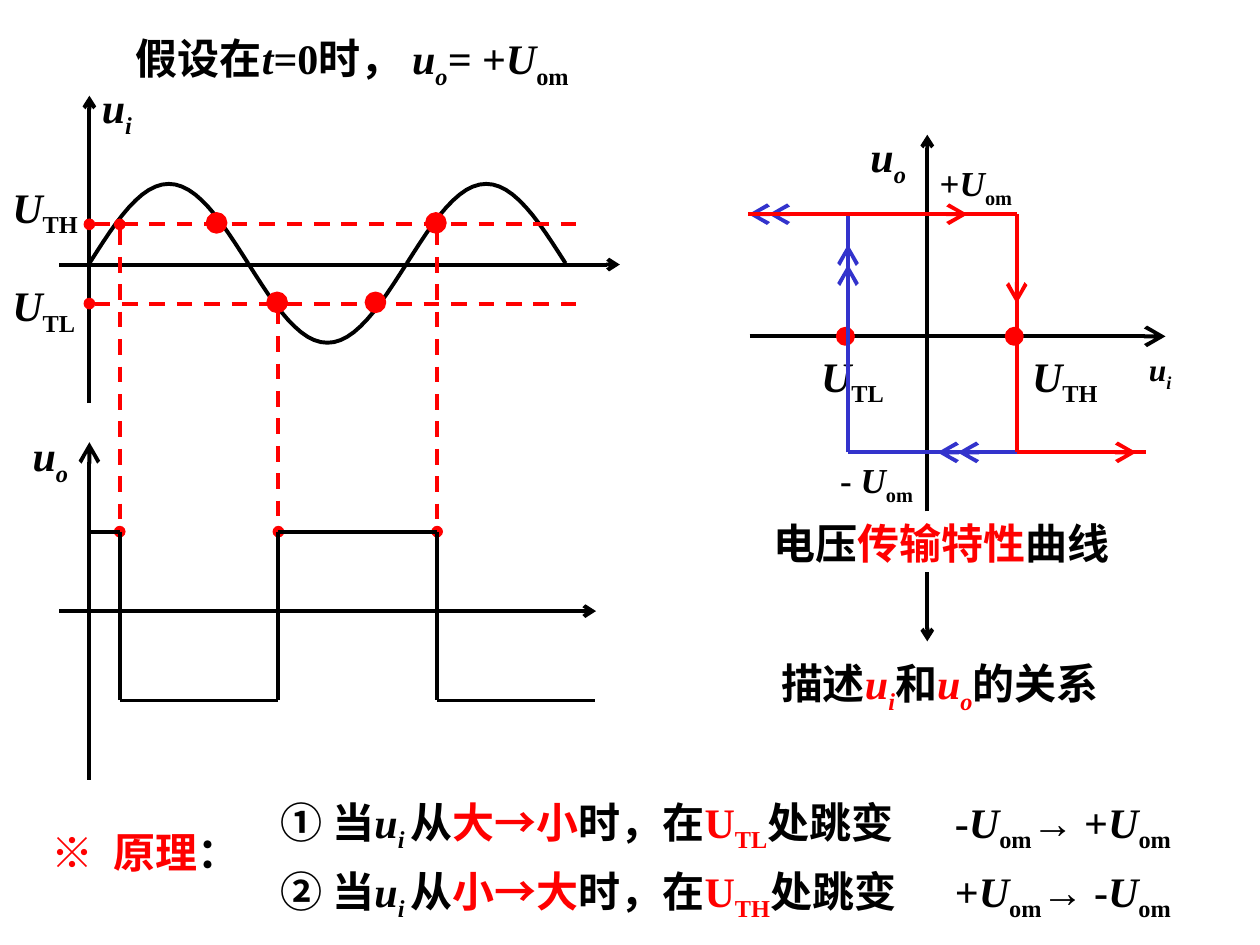
from itertools import pairwise
from math import pi, sin

from lxml import etree
from pptx import Presentation
from pptx.dml.color import RGBColor
from pptx.enum import dml, shapes
from pptx.oxml.ns import qn
from pptx.util import Pt

BLACK = RGBColor(0x00, 0x00, 0x00)
RED = RGBColor(0xFF, 0x00, 0x00)
BLUE = RGBColor(0x33, 0x33, 0xCC)
LATIN, CHINESE = "Times New Roman", "Noto Sans CJK SC"
STROKE = 2.25

AXIS_X, INPUT_Y = 51.1, 151.2
HALF_WAVE, AMPLITUDE, WAVE_Y = 90.7, 45.4, 150.5
UPPER_Y, LOWER_Y = 128.2, 173.5
HIGH_Y, STEP_LOW_Y = 303.8, 400.3
JUMPS = [(68.4, UPPER_Y), (159.1, LOWER_Y), (249.8, UPPER_Y)]
FALL_1, RISE, FALL_2 = [x for x, _ in JUMPS]

LOOP_LEFT, LOOP_RIGHT = 484.6, 581
LOOP_TOP, LOOP_BOTTOM = 122.4, 258.5
FAR_LEFT, FAR_RIGHT = 427.7, 654.8
TRANSFER_X, TRANSFER_Y = 529.9, 192.2

AXES = [
    ((33.8, INPUT_Y), (354.2, INPUT_Y), "med"),
    ((AXIS_X, 230.4), (AXIS_X, 54.7), "med"),
    ((33.8, 349.2), (340.6, 349.2), "med"),
    ((AXIS_X, 445.7), (AXIS_X, 252.7), "lg"),
    ((428.4, TRANSFER_Y), (666, TRANSFER_Y), "lg"),
    ((TRANSFER_X, 292.3), (TRANSFER_X, 77), "med"),
    ((TRANSFER_X, 326.9), (TRANSFER_X, 366.5), "med"),
]
OUTPUT_STEPS = [
    (AXIS_X, HIGH_Y), (FALL_1, HIGH_Y), (FALL_1, STEP_LOW_Y),
    (124.6, STEP_LOW_Y), (RISE, STEP_LOW_Y), (RISE, HIGH_Y),
    (215.3, HIGH_Y), (FALL_2, HIGH_Y), (FALL_2, STEP_LOW_Y),
    (339.8, STEP_LOW_Y),
]
CROSSINGS = [(123.8, 127.4), (158.4, 172.8), (214.6, 172.8), (249.1, 127.4)]
THRESHOLDS = [(579.6, TRANSFER_Y), (483.1, TRANSFER_Y)]
LOOPS = [
    (BLUE,
     [(FAR_RIGHT, LOOP_BOTTOM), (LOOP_LEFT, LOOP_BOTTOM),
      (LOOP_LEFT, LOOP_TOP), (FAR_LEFT, LOOP_TOP)],
     [((LOOP_RIGHT, LOOP_BOTTOM), (535.7, LOOP_BOTTOM)),
      ((569.5, LOOP_BOTTOM), (547.2, LOOP_BOTTOM)),
      ((LOOP_LEFT, 185), (LOOP_LEFT, 139.7)),
      ((LOOP_LEFT, 173.5), (LOOP_LEFT, 151.2)),
      ((473, LOOP_TOP), (FAR_LEFT, LOOP_TOP)),
      ((462.2, LOOP_TOP), (439.2, LOOP_TOP))]),
    (RED,
     [(FAR_LEFT, LOOP_TOP), (LOOP_RIGHT, LOOP_TOP),
      (LOOP_RIGHT, LOOP_BOTTOM), (FAR_RIGHT, LOOP_BOTTOM)],
     [((501.8, LOOP_TOP), (553, LOOP_TOP)),
      ((LOOP_RIGHT, UPPER_Y), (LOOP_RIGHT, LOWER_Y)),
      ((609.8, LOOP_BOTTOM), (649.4, LOOP_BOTTOM))]),
]

# Run styles: i italic, s subscript, r red, c Chinese font.
INPUT = [("u", "i"), ("i", "is")]
OUTPUT = [("u", "i"), ("o", "is")]
HIGH = [("U", "i"), ("TH", "s")]
LOW = [("U", "i"), ("TL", "s")]
LEVEL = [("U", "i"), ("om", "s")]


def red(runs):
    return [(words, style + "r") for words, style in runs]


def rule(number, change, threshold):
    return [(number + " 当", "c"), ("u", "i"), ("i ", "is"), ("从", "c"),
            (change, "cr"), ("时，在", "c"), ("U", "r"), (threshold, "rs"),
            ("处跳变", "c")]


LABELS = [
    ((51.1, 43.2, 85, 40.3), 24, INPUT),
    ((0, 156.2, 85, 40.3), 24, LOW),
    ((0, 100.1, 85, 40.3), 24, HIGH),
    ((11.5, 241.9, 68.4, 40.3), 24, OUTPUT),
    ((70.6, 15.1, 283.7, 40.3), 24,
     [("假设在", "c"), ("t", "i"), ("=0", ""), ("时， ", "c"), *OUTPUT,
      ("= ", "i"), ("+", ""), *LEVEL]),
    ((153.4, 451.4, 399.6, 40.3), 24, rule("①", "大→小", "TL")),
    ((153.4, 491, 399.6, 40.3), 24, rule("②", "小→大", "TH")),
    ((538.6, 451.4, 181.4, 40.3), 24, [("-", ""), *LEVEL, ("→ +", ""), *LEVEL]),
    ((538.6, 491, 181.4, 40.3), 24, [("+", ""), *LEVEL, ("→ -", ""), *LEVEL]),
    ((22.3, 468.7, 130, 36), 24, [("※\t", "cr"), ("原理", "cr"), ("：", "c")]),
    ((649.4, 196.6, 45.4, 31.7), 18, INPUT),
    ((490.3, 71.3, 68.4, 40.3), 24, OUTPUT),
    ((434.9, 292.3, 265.7, 36), 24,
     [("电压", "c"), ("传输特性", "cr"), ("曲线", "c")]),
    ((582.7, 196.6, 55.2, 40.3), 24, HIGH),
    ((462.2, 196.6, 79.2, 40.3), 24, LOW),
    ((439.2, 372.2, 226.8, 40.3), 24,
     [("描述", "c"), *red(INPUT), ("和", "c"), *red(OUTPUT), ("的关系", "c")]),
    ((473, 258.5, 85, 34.6), 20, [("- ", ""), *LEVEL]),
    ((529.9, 88.6, 85, 34.6), 20, [("+", ""), *LEVEL]),
]
TAB_STOP = 35.5

presentation = Presentation()
presentation.slide_width, presentation.slide_height = Pt(720), Pt(540)
slide = presentation.slides.add_slide(presentation.slide_layouts[6])


def add_line(start, end, color=BLACK, head=None, tail=None, size="med", dashed=False):
    connector = slide.shapes.add_connector(
        shapes.MSO_CONNECTOR.STRAIGHT, *map(Pt, start + end))
    connector.line.color.rgb = color
    connector.line.width = Pt(STROKE)
    if dashed:
        connector.line.dash_style = dml.MSO_LINE.DASH
    properties = connector.element.spPr
    outline = properties.find(qn("a:ln"))
    for name, kind in (("a:headEnd", head), ("a:tailEnd", tail)):
        if kind:
            etree.SubElement(outline, qn(name), type=kind, w=size, len=size)
    etree.SubElement(properties, qn("a:effectLst"))


def add_half_wave(index, steps=24):
    points = [(Pt(AXIS_X + HALF_WAVE * (index + step / steps)),
               Pt(WAVE_Y - AMPLITUDE * sin(pi * (index + step / steps))))
              for step in range(steps + 1)]
    builder = slide.shapes.build_freeform(*points[0])
    builder.add_line_segments(points[1:], close=False)
    shape = builder.convert_to_shape()
    shape.shadow.inherit = False
    shape.fill.background()
    shape.line.color.rgb = BLACK
    shape.line.width = Pt(STROKE)


def add_dot(center, size):
    x, y = center
    shape = slide.shapes.add_shape(
        shapes.MSO_SHAPE.OVAL, Pt(x - size / 2), Pt(y - size / 2), Pt(size), Pt(size))
    shape.shadow.inherit = False
    shape.fill.solid()
    shape.fill.fore_color.rgb = RED
    shape.line.color.rgb = RED
    shape.line.width = Pt(STROKE)


def add_label(box, size, runs):
    frame = slide.shapes.add_textbox(*map(Pt, box)).text_frame
    frame.word_wrap = True
    paragraph = frame.paragraphs[0]
    if any("\t" in words for words, _ in runs):
        tabs = etree.SubElement(paragraph._p.get_or_add_pPr(), qn("a:tabLst"))
        etree.SubElement(tabs, qn("a:tab"), pos=str(Pt(TAB_STOP)), algn="l")
    paragraph.font.size = Pt(size)
    paragraph.font.bold = True
    for words, style in runs:
        run = paragraph.add_run()
        run.text = words
        run.font.name = CHINESE if "c" in style else LATIN
        run.font.italic = "i" in style
        run.font.color.rgb = RED if "r" in style else BLACK
        properties = run.font._element if hasattr(run.font, "_element") else run._r.get_or_add_rPr()
        etree.SubElement(properties, qn("a:ea"), typeface=CHINESE)
        if "s" in style:
            properties.set("baseline", "-25000")


for start, end, size in AXES:
    add_line(start, end, tail="arrow", size=size)
for index in range(3):
    add_half_wave(index)
for y in (UPPER_Y, LOWER_Y):
    add_line((AXIS_X, y), (329, y), RED, head="oval", dashed=True)
for x, y in JUMPS:
    add_line((x, y), (x, HIGH_Y), RED, head="oval", tail="oval", dashed=True)
for start, end in pairwise(OUTPUT_STEPS):
    add_line(start, end)
for center in CROSSINGS:
    add_dot(center, 10.1)
for center in THRESHOLDS:
    add_dot(center, 8.6)
for box, size, runs in LABELS:
    add_label(box, size, runs)
for color, corners, arrows in LOOPS:
    for start, end in pairwise(corners):
        add_line(start, end, color)
    for start, end in arrows:
        add_line(start, end, color, tail="arrow", size="lg")

presentation.save("out.pptx")
